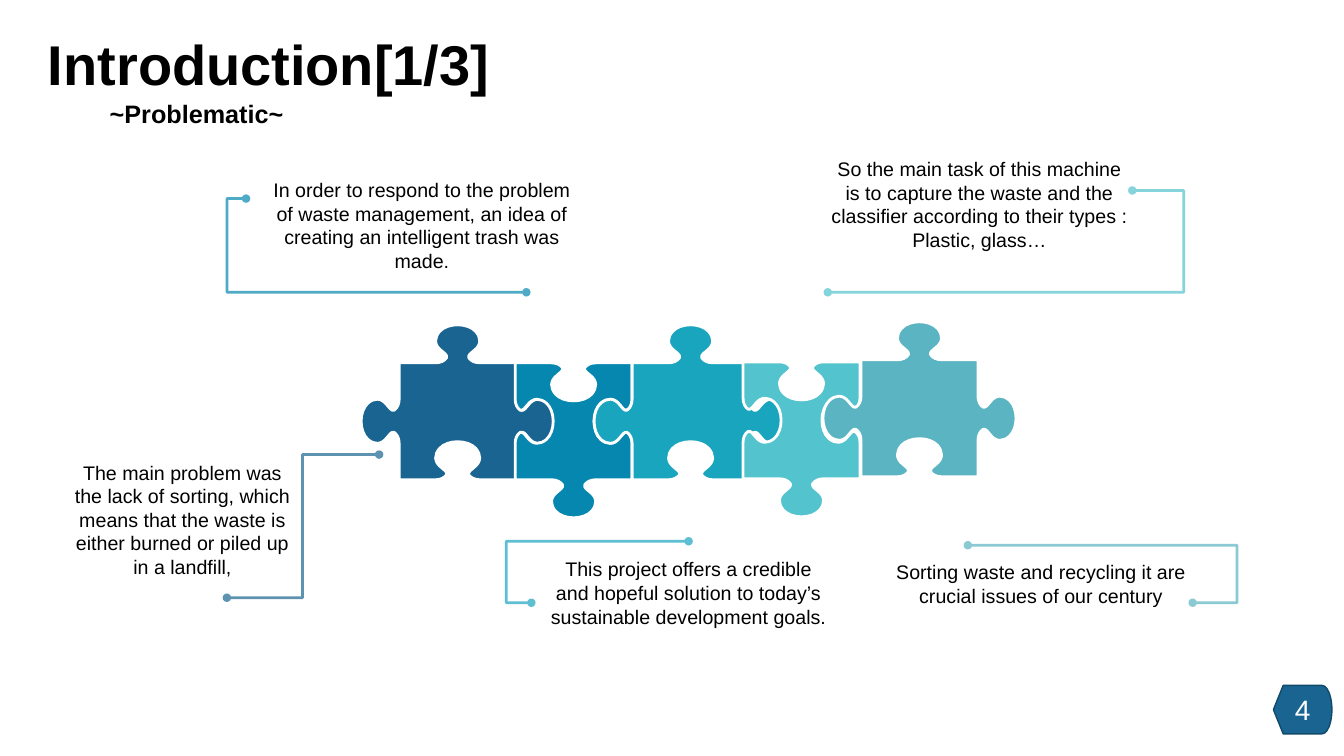
from lxml.etree import SubElement
from pptx import Presentation
from pptx.dml.color import RGBColor
from pptx.enum.shapes import MSO_CONNECTOR, MSO_SHAPE
from pptx.enum.text import MSO_ANCHOR, MSO_AUTO_SIZE, PP_ALIGN
from pptx.oxml.ns import qn
from pptx.util import Inches, Pt

COLORS = {
    "navy": "196491", "blue": "0587AF", "teal": "19A5BE", "aqua": "53C3CD",
    "mist": "5AB4C1", "edge": "124A6B", "white": "FFFFFF", "black": "000000",
}
NOTE_FRAME = {"margin_left": 0, "margin_right": 0, "word_wrap": True,
              "auto_size": MSO_AUTO_SIZE.SHAPE_TO_FIT_TEXT}
SUBTITLE_FRAME = {"word_wrap": False, "auto_size": MSO_AUTO_SIZE.SHAPE_TO_FIT_TEXT}
CENTERED_FRAME = {"vertical_anchor": MSO_ANCHOR.MIDDLE, "word_wrap": True,
                  "auto_size": MSO_AUTO_SIZE.NONE}

# Half a knob, from its foot to its crest: distance from the knob's axis, height
HALF_KNOB = [(0.22, 0), (0.17, 0), (0.13, 0.02), (0.11, 0.05), (0.1, 0.08),
             (0.14, 0.1), (0.16, 0.12), (0.24, 0.18), (0.23, 0.25),
             (0.18, 0.31), (0.1, 0.4)]
KNOB = [(-u, height) for u, height in HALF_KNOB] + HALF_KNOB[::-1]
HALF_SIDE = 0.58
SIDES = [(1, 0), (0, 1), (-1, 0), (0, -1)]  # top, right, bottom, left
KNOB_UP = (1, 1, -1, 1)  # knob (1) or hole (-1) on each side
KNOB_DOWN = (-1, -1, 1, -1)

# Knobs, centre, colour
PIECES = [
    (KNOB_UP, (4.54, 4.18), "navy"),
    (KNOB_DOWN, (5.69, 4.18), "blue"),
    (KNOB_UP, (6.85, 4.18), "teal"),
    (KNOB_DOWN, (7.95, 4.17), "aqua"),
    (KNOB_UP, (9.12, 4.15), "mist"),
]

# Text, text box, leader start, elbow x, leader end, colour
NOTES = [
    ("The main problem was the lack of sorting, which means that the waste is "
     "either burned or piled up in a landfill,",
     (0.69, 4.52, 2.24, 1.28), (2.25, 5.93), 3, (3.76, 4.51), "navy"),
    ("This project offers a credible and hopeful solution to today’s "
     "sustainable development goals.",
     (5.45, 5.48, 2.76, 0.81), (5.27, 5.98), 5.02, (6.83, 5.37), "teal"),
    ("Sorting waste and recycling it are crucial issues of our century",
     (8.82, 5.51, 3.01, 0.57), (11.83, 5.98), 12.27, (9.6, 5.41), "mist"),
    ("In order to respond to the problem of waste management, an idea of "
     "creating an intelligent trash was made.",
     (2.68, 1.72, 3.01, 1.04), (2.44, 1.97), 2.25, (5.22, 2.9), "blue"),
    ("So the main task of this machine is to capture the waste and the "
     "classifier according to their types : Plastic, glass…",
     (8.21, 1.51, 3.01, 1.04), (8.21, 2.9), 11.74, (11.23, 1.89), "aqua"),
]


def rgb(color):
    return RGBColor.from_string(COLORS[color])


def apply(target, values):
    for name, value in values.items():
        setattr(target, name, value)


def write(shape, text, size, frame, color="black", bold=False, align=PP_ALIGN.CENTER):
    apply(shape.text_frame, frame)
    paragraph = shape.text_frame.paragraphs[0]
    paragraph.text = text
    paragraph.alignment = align
    apply(paragraph.font, {"name": "Arial", "size": Pt(size), "bold": bold})
    paragraph.font.color.rgb = rgb(color)
    return paragraph


def paint(shape, fill, line, width):
    shape.shadow.inherit = False
    shape.fill.solid()
    shape.fill.fore_color.rgb = rgb(fill)
    shape.line.color.rgb = rgb(line)
    shape.line.width = Pt(width)


def add_title(slide, text):
    title = slide.shapes.title
    apply(title, {"left": Inches(-0.36), "top": Inches(0.22),
                  "width": Inches(6.05), "height": Inches(0.79)})
    write(title, text, 40, CENTERED_FRAME, bold=True).line_spacing = Pt(50)


def add_text(slide, box, text, size, frame, **style):
    write(slide.shapes.add_textbox(*map(Inches, box)), text, size, frame, **style)


def piece_points(knobs, center):
    """Walk clockwise round a piece: a knob and then a corner on each side."""
    points = []
    for (along_x, along_y), sign in zip(SIDES, knobs):
        for u, height in KNOB + [(HALF_SIDE, 0)]:
            out = HALF_SIDE + sign * height
            points.append((Inches(center[0] + along_x * u + along_y * out),
                           Inches(center[1] + along_y * u - along_x * out)))
    return points


def add_piece(slide, knobs, center, color):
    """Draw a piece, turning each three segments of a knob into one Bézier curve."""
    points = piece_points(knobs, center)
    builder = slide.shapes.build_freeform(*points[-1])
    builder.add_line_segments(points)
    piece = builder.convert_to_shape()
    segments = piece.element.xpath(".//a:lnTo")
    side_length = len(KNOB) + 1
    for foot in range(0, len(points), side_length):
        curve = segments[foot + 1:foot + len(KNOB)]
        for first, second, third in zip(curve[::3], curve[1::3], curve[2::3]):
            first.tag = qn("a:cubicBezTo")
            for segment in (second, third):
                first.append(segment[0])
                segment.getparent().remove(segment)
    paint(piece, color, "white", 2)


def add_leader(slide, start, elbow_x, end, color):
    leader = slide.shapes.add_connector(
        MSO_CONNECTOR.ELBOW, *map(Inches, start + end))
    leader.line.color.rgb = rgb(color)
    leader.line.width = Pt(2)
    properties = leader.element.spPr
    bend = round(100000 * (elbow_x - start[0]) / (end[0] - start[0]))
    SubElement(properties.xpath(".//a:avLst")[0], qn("a:gd"),
               name="adj1", fmla=f"val {bend}")
    SubElement(properties.xpath(".//a:srgbClr")[0], qn("a:alpha"), val="70000")
    for tip in ("a:headEnd", "a:tailEnd"):
        SubElement(properties.find(qn("a:ln")), qn(tip), type="oval")
    SubElement(properties, qn("a:effectLst"))


def add_page_badge(slide, number):
    badge = slide.shapes.add_shape(
        MSO_SHAPE.FLOWCHART_DISPLAY, *map(Inches, (12.63, 6.8, 0.58, 0.48)))
    paint(badge, "navy", "edge", 1)
    write(badge, number, 20, CENTERED_FRAME, color="white")


def main():
    presentation = Presentation()
    presentation.slide_width = Inches(13.33)
    presentation.slide_height = Inches(7.5)
    slide = presentation.slides.add_slide(presentation.slide_layouts[5])
    add_title(slide, "Introduction[1/3]")
    for piece in PIECES:
        add_piece(slide, *piece)
    for text, box, start, elbow_x, end, color in NOTES:
        add_leader(slide, start, elbow_x, end, color)
        add_text(slide, box, text, 14, NOTE_FRAME)
    add_page_badge(slide, "4")
    add_text(slide, (0.99, 0.93, 1.94, 0.4), "~Problematic~", 18, SUBTITLE_FRAME,
             bold=True, align=PP_ALIGN.LEFT)
    presentation.save("out.pptx")


if __name__ == "__main__":
    main()
